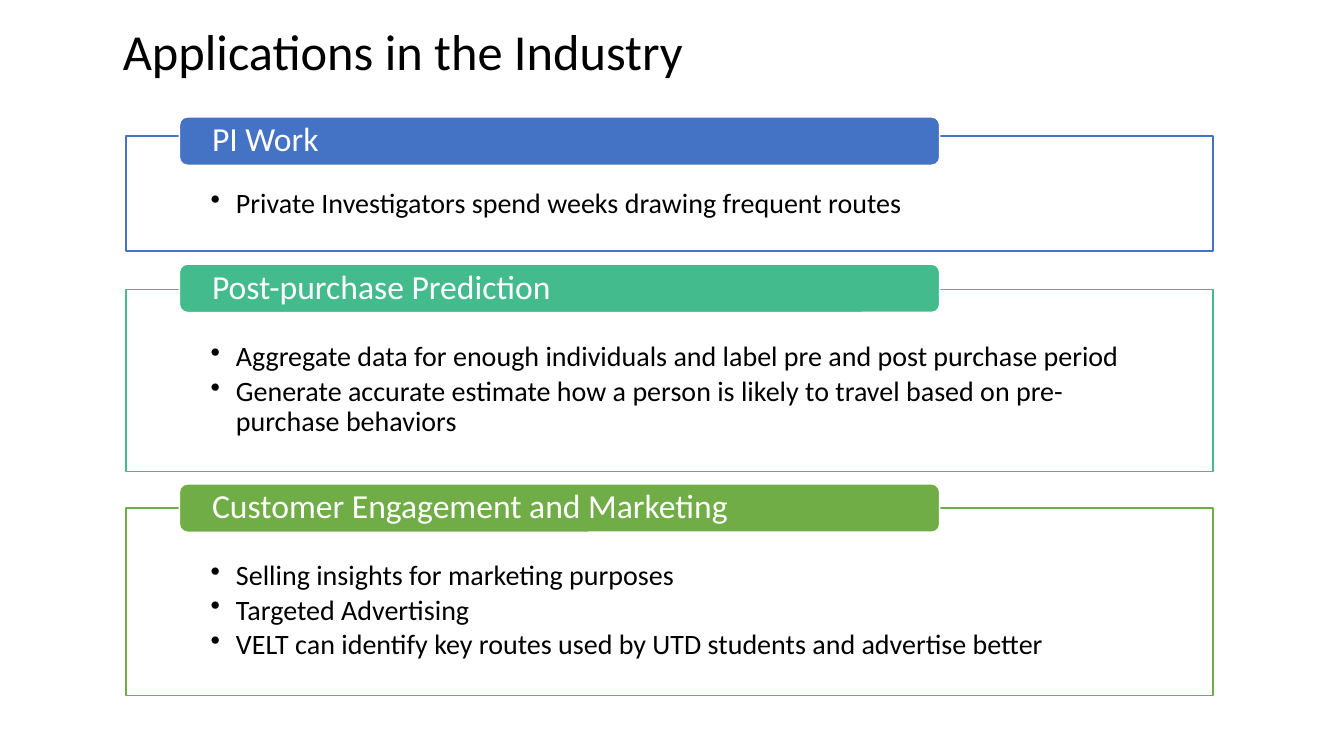
"""Build the slide on applications in the industry."""
from dataclasses import dataclass

from lxml.etree import SubElement
from pptx import Presentation
from pptx.dml.color import RGBColor as RGB
from pptx.enum.shapes import MSO_SHAPE as SHAPE
from pptx.enum.text import MSO_ANCHOR as ANCHOR, PP_ALIGN as ALIGN
from pptx.oxml.ns import qn
from pptx.util import Inches, Pt


@dataclass(frozen=True)
class Theme:
    """Colours, font and type sizes."""
    font: str = "Calibri"
    white: str = "FFFFFF"
    black: str = "000000"
    blue: str = "4472C4"
    teal: str = "43BB8D"
    green: str = "70AD47"
    title: int = 36
    heading: int = 24
    body: int = 20


@dataclass(frozen=True)
class Section:
    """A framed list of points under a heading tab."""
    heading: str
    color: str
    tab_top: float
    top: float
    height: float
    points: tuple[str, ...]


T = Theme()
SECTIONS = (
    Section("PI Work", T.blue, 1.16, 1.35, 1.14,
            ("Private Investigators spend weeks drawing frequent routes",)),
    Section("Post-purchase Prediction", T.teal, 2.62, 2.87, 1.81,
            ("Aggregate data for enough individuals and label pre and post purchase period",
             "Generate accurate estimate how a person is likely to travel based on "
             "pre-purchase behaviors")),
    Section("Customer Engagement and Marketing", T.green, 4.8, 5.04, 1.86,
            ("Selling insights for marketing purposes",
             "Targeted Advertising",
             "VELT can identify key routes used by UTD students and advertise better")),
)


def set_insets(tf, left: float, top: float, right: float, bottom: float) -> None:
    """Set the inner margins of a text frame in inches."""
    tf.margin_left, tf.margin_top = Inches(left), Inches(top)
    tf.margin_right, tf.margin_bottom = Inches(right), Inches(bottom)


def add_bullet(p) -> None:
    """Give a paragraph a round bullet with a hanging indent."""
    pPr = p._p.get_or_add_pPr()
    pPr.set("marL", str(Inches(0.25)))
    pPr.set("indent", str(Inches(-0.25)))
    SubElement(pPr, qn("a:buChar"), char="•")


def write(tf, lines: tuple[str, ...], size: int, color: str, bullets: bool = False) -> None:
    """Write one paragraph per line into a text frame."""
    tf.word_wrap = True
    for i, line in enumerate(lines):
        p = tf.paragraphs[0] if i == 0 else tf.add_paragraph()
        p.alignment = ALIGN.LEFT
        p.line_spacing = 0.9
        if bullets:
            p.space_after = Pt(3)
            add_bullet(p)
        r = p.add_run()
        r.text = line
        r.font.name, r.font.size = T.font, Pt(size)
        r.font.color.rgb = RGB.from_string(color)


def add_box(s, kind: SHAPE, at: tuple[float, ...], fill: str, line: str):
    """Add a filled and outlined shape without a shadow."""
    sp = s.shapes.add_shape(kind, *map(Inches, at))
    sp.shadow.inherit = False
    sp.fill.solid()
    sp.fill.fore_color.rgb = RGB.from_string(fill)
    sp.line.color.rgb = RGB.from_string(line)
    sp.line.width = Pt(1)
    return sp


def add_section(s, section: Section) -> None:
    """Draw the frame with its points and the heading tab over it."""
    frame = add_box(s, SHAPE.RECTANGLE, (1.25, section.top, 10.78, section.height),
                    T.white, section.color)
    color = frame._element.spPr.find(qn("a:solidFill"))[0]
    SubElement(color, qn("a:alpha"), val="90000")
    tf = frame.text_frame
    tf.vertical_anchor = ANCHOR.TOP
    set_insets(tf, 0.84, 0.53, 0.84, 0.09)
    write(tf, section.points, T.body, T.black, bullets=True)

    tab = add_box(s, SHAPE.ROUNDED_RECTANGLE, (1.78, section.tab_top, 7.54, 0.48),
                  section.color, T.white)
    tf = tab.text_frame
    tf.vertical_anchor = ANCHOR.MIDDLE
    set_insets(tf, 0.3, 0, 0.3, 0)
    write(tf, (section.heading,), T.heading, T.white)


def main() -> None:
    """Build and save the presentation."""
    prs = Presentation()
    prs.slide_width, prs.slide_height = Inches(13.33), Inches(7.5)
    s = prs.slides.add_slide(prs.slide_layouts[6])
    for section in SECTIONS:
        add_section(s, section)
    title = s.shapes.add_textbox(Inches(1.12), Inches(0.22), Inches(7.28), Inches(0.7))
    write(title.text_frame, ("Applications in the Industry",), T.title, T.black)
    prs.save("out.pptx")


if __name__ == "__main__":
    main()
